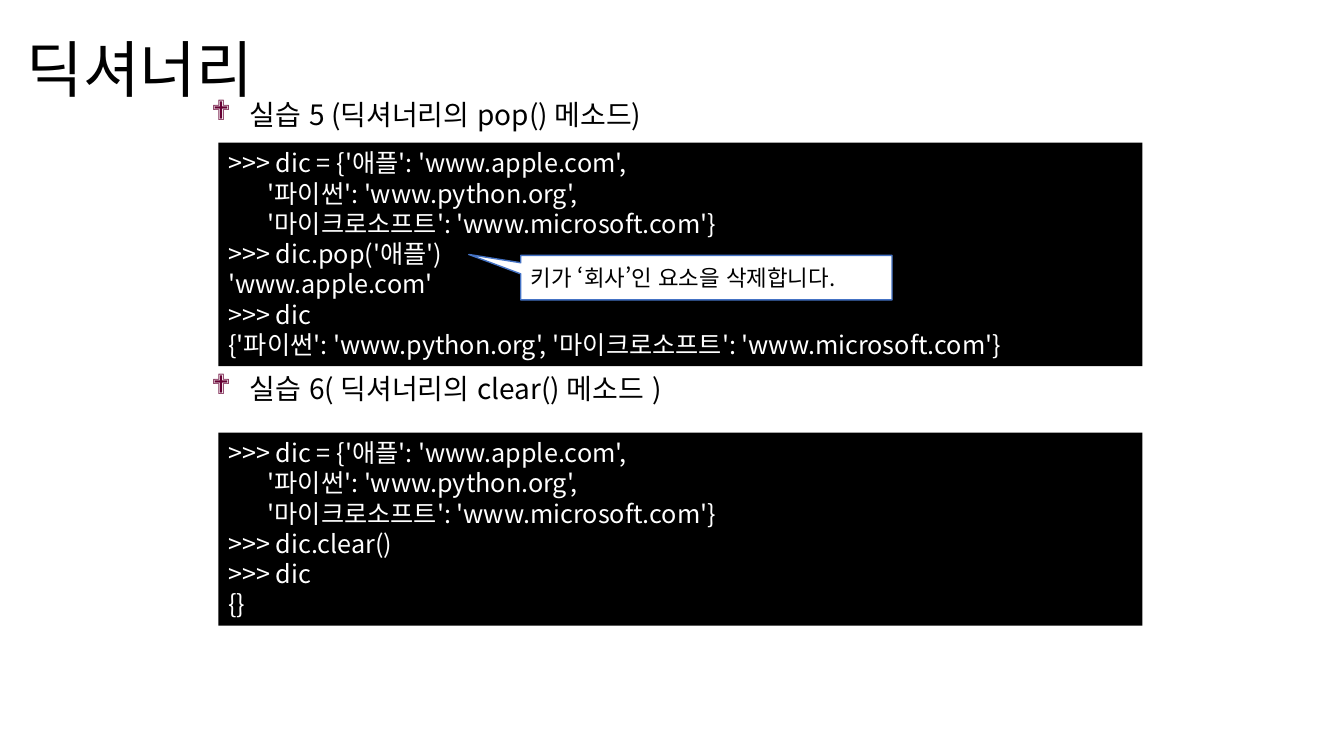
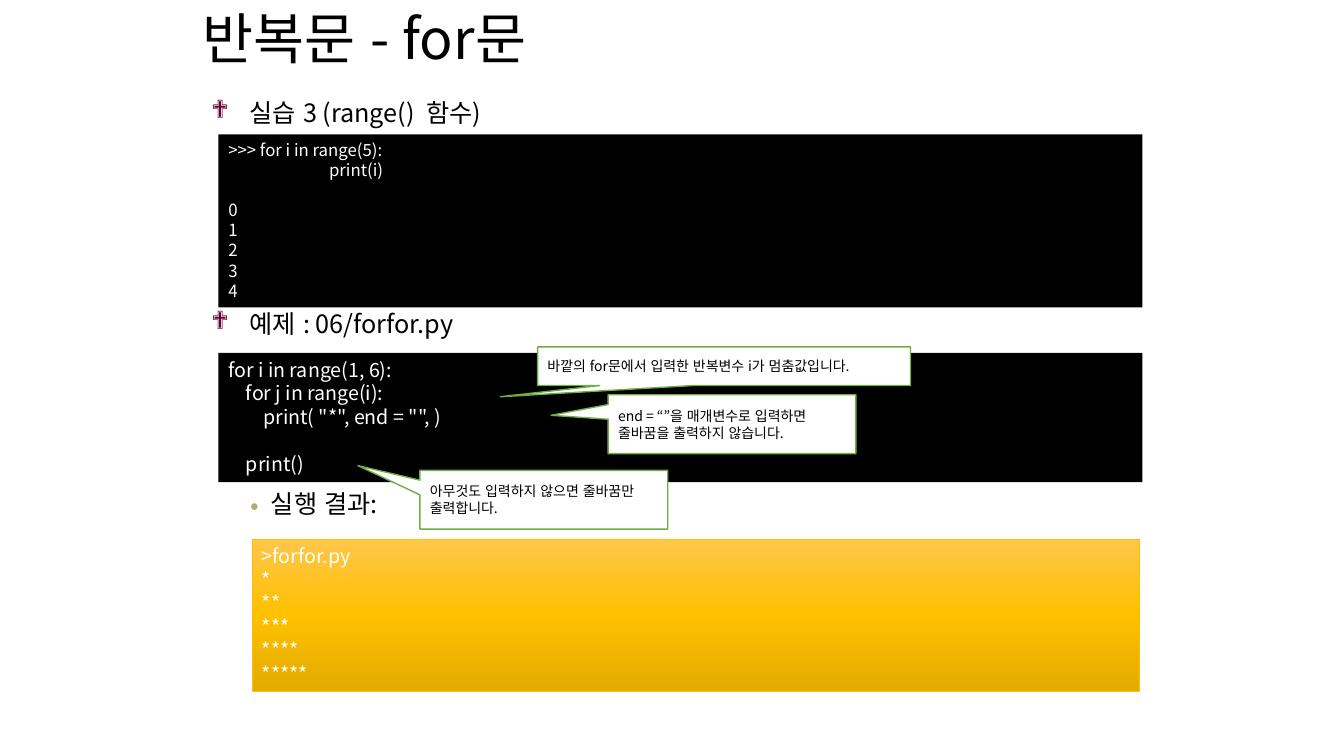
"""Build two Korean Python lesson slides with code panels and callouts."""
from copy import deepcopy

from lxml.etree import SubElement
from pptx import Presentation
from pptx.dml.color import RGBColor
from pptx.enum.lang import MSO_LANGUAGE_ID as Language
from pptx.enum.shapes import MSO_SHAPE as Shape
from pptx.enum.text import MSO_ANCHOR as Anchor, PP_ALIGN as Align
from pptx.oxml.ns import qn
from pptx.util import Inches, Pt

COLUMNS, ROWS = 80, 45
UNIT = Inches(7.5) // ROWS
FONT = "Noto Sans CJK KR"
BLACK, WHITE, BLUE, GREEN, GOLD = "000000", "FFFFFF", "4472C4", "70AD47", "FFC000"
GOLD_STOPS = [(0, "FFC64B"), (0.5, GOLD), (1, "E3AB00")]
PANEL_LEFT, PANEL_WIDTH = 13, 55
HEADING_LEFT, HEADING_WIDTH, HEADING_HEIGHT = 12, 57, 3
BULLETS = [
    {"char": "❖", "font": "Wingdings", "color": "660033",
     "margin": 0.38, "hang": 0.38, "spacing": 1.0},
    {"char": "•", "font": FONT, "color": "B1AE6B",
     "margin": 0.59, "hang": 0.2, "spacing": 1.1},
]
DICTIONARY = [
    ">>> dic = {'애플': 'www.apple.com',",
    "       '파이썬': 'www.python.org',",
    "       '마이크로소프트': 'www.microsoft.com'}",
]

SLIDES = [
    {
        "title": ("딕셔너리", 44, (1, 0, 69, 8.6)),
        "heading_size": 20,
        "headings": [
            (5.5, 0, "실습 5 (딕셔너리의 pop() 메소드)"),
            (21.8, 0, "실습 6( 딕셔너리의 clear() 메소드 )"),
        ],
        "panels": [
            (8.5, 13.3, 18, DICTIONARY + [
                ">>> dic.pop('애플')",
                "'www.apple.com'",
                ">>> dic",
                "{'파이썬': 'www.python.org', '마이크로소프트': 'www.microsoft.com'}",
            ]),
            (25.75, 11.5, 18, DICTIONARY + [">>> dic.clear()", ">>> dic", "{}"]),
        ],
        "callout_style": (16, BLUE),
        "callouts": [
            ((31, 15.2, 22.1, 2.65), (-0.64, -0.52), "키가 ‘회사’인 요소을 삭제합니다."),
        ],
    },
    {
        "title": ("반복문 - for문", 39.6, (11.46, 0.54, 56, 3.8)),
        "heading_size": 18,
        "headings": [
            (5.5, 0, "실습 3 (range()  함수)"),
            (18.05, 0, "예제 : 06/forfor.py"),
            (28.6, 1, "실행 결과:"),
        ],
        "panels": [
            (8, 10.3, 12, [">>> for i in range(5):", "\tprint(i)", "", *"01234"]),
            (21, 7.7, 14, [
                "for i in range(1, 6):",
                "    for j in range(i):",
                '        print( "*", end = "", )',
                "",
                "    print()",
            ]),
        ],
        "output": ((15, 32.1, 52.85, 9.06), 14,
                   [">forfor.py"] + ["*" * count for count in range(1, 6)]),
        "callout_style": (10, GREEN),
        "callouts": [
            ((36.2, 23.5, 14.75, 3.5), (-0.73, -0.15),
             "end = “”을 매개변수로 입력하면 줄바꿈을 출력하지 않습니다."),
            ((25, 28, 14.75, 3.5), (-0.75, -0.58),
             "아무것도 입력하지 않으면 줄바꿈만 출력합니다."),
            ((32, 20.65, 22.2, 2.3), (-0.6, 0.79),
             "바깥의 for문에서 입력한 반복변수 i가 멈춤값입니다."),
        ],
    },
]


def rgb(value):
    return RGBColor.from_string(value)


def place(box):
    return [round(length * UNIT) for length in box]


def apply(target, **values):
    for name, value in values.items():
        setattr(target, name, value)


def add_bullet(paragraph, bullet):
    properties = paragraph._p.get_or_add_pPr()
    properties.set("marL", str(Inches(bullet["margin"])))
    properties.set("indent", str(-Inches(bullet["hang"])))
    color = SubElement(properties, qn("a:buClr"))
    SubElement(color, qn("a:srgbClr"), val=bullet["color"])
    SubElement(properties, qn("a:buFont"), typeface=bullet["font"])
    SubElement(properties, qn("a:buChar"), char=bullet["char"])


def add_tab(paragraph):
    tabs = SubElement(paragraph._p.get_or_add_pPr(), qn("a:tabLst"))
    SubElement(tabs, qn("a:tab"), pos=str(Inches(1)), algn="l")


def write(shape, lines, size, color, align=Align.LEFT, anchor=Anchor.TOP,
          spacing=1.0, bullet=None):
    frame = shape.text_frame
    apply(frame, word_wrap=True, vertical_anchor=anchor)
    for index, line in enumerate(lines):
        paragraph = frame.add_paragraph() if index else frame.paragraphs[0]
        if bullet:
            add_bullet(paragraph, bullet)
        if "\t" in line:
            add_tab(paragraph)
        apply(paragraph, alignment=align, line_spacing=spacing)
        apply(paragraph.font, size=Pt(size), name=FONT)
        if line:
            run = paragraph.add_run()
            run.text = line
            apply(run.font, size=Pt(size), name=FONT, language_id=Language.KOREAN)
            run.font.color.rgb = rgb(color)
            SubElement(run._r.get_or_add_rPr(), qn("a:ea"), typeface=FONT)


def add_text(slide, box, *content, **style):
    write(slide.shapes.add_textbox(*place(box)), *content, **style)


def add_box(slide, kind, box, fill, line=None, width=1):
    shape = slide.shapes.add_shape(kind, *place(box))
    shape.shadow.inherit = False
    if isinstance(fill, list):
        fill_gradient(shape, fill)
    else:
        shape.fill.solid()
        shape.fill.fore_color.rgb = rgb(fill)
    if line:
        shape.line.color.rgb = rgb(line)
        shape.line.width = Pt(width)
    else:
        shape.line.fill.background()
    return shape


def fill_gradient(shape, stops):
    shape.fill.gradient()
    shape.fill.gradient_angle = 270
    stop_list = shape._element.spPr.find(".//" + qn("a:gsLst"))
    while len(stop_list) < len(stops):
        stop_list.append(deepcopy(stop_list[0]))
    for stop, (position, color) in zip(shape.fill.gradient_stops, stops):
        stop.position = position
        stop.color.rgb = rgb(color)


def build_slide(presentation, content):
    slide = presentation.slides.add_slide(presentation.slide_layouts[6])
    title, size, box = content["title"]
    add_text(slide, box, [title], size, BLACK, anchor=Anchor.MIDDLE, spacing=0.9)
    for top, level, text in content["headings"]:
        bullet = BULLETS[level]
        add_text(slide, (HEADING_LEFT, top, HEADING_WIDTH, HEADING_HEIGHT), [text],
                 content["heading_size"], BLACK, spacing=bullet["spacing"], bullet=bullet)
    for top, height, size, lines in content["panels"]:
        panel = add_box(slide, Shape.RECTANGLE, (PANEL_LEFT, top, PANEL_WIDTH, height), BLACK)
        write(panel, lines, size, WHITE, align=Align.JUSTIFY)
    if "output" in content:
        box, size, lines = content["output"]
        panel = add_box(slide, Shape.RECTANGLE, box, GOLD_STOPS, GOLD, 0.5)
        write(panel, lines, size, WHITE, align=Align.JUSTIFY)
    size, outline = content["callout_style"]
    for box, tip, text in content["callouts"]:
        callout = add_box(slide, Shape.RECTANGULAR_CALLOUT, box, WHITE, outline)
        for index, offset in enumerate(tip):
            callout.adjustments[index] = offset
        write(callout, [text], size, BLACK, anchor=Anchor.MIDDLE)


def main():
    presentation = Presentation()
    apply(presentation, slide_width=COLUMNS * UNIT, slide_height=ROWS * UNIT)
    for content in SLIDES:
        build_slide(presentation, content)
    presentation.save("out.pptx")


if __name__ == "__main__":
    main()
